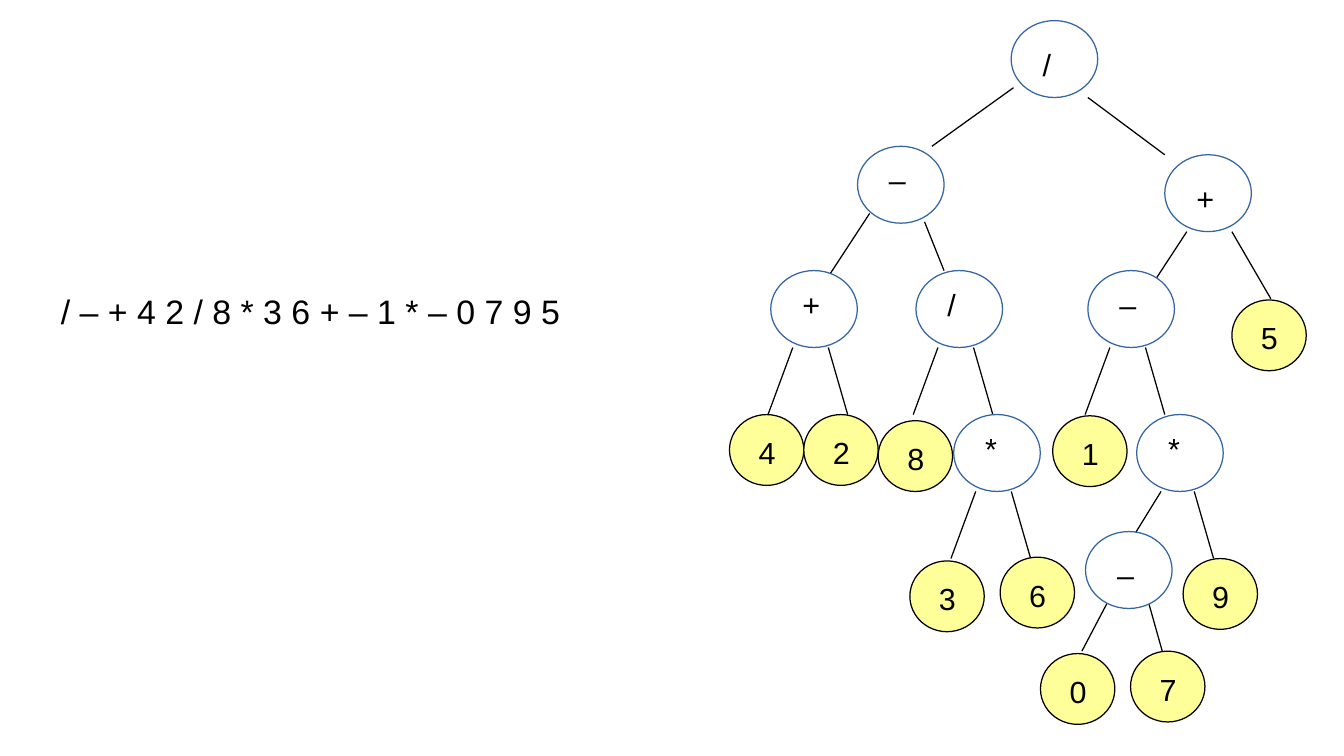
from lxml import etree
from pptx import Presentation
from pptx.dml.color import RGBColor
from pptx.enum.shapes import MSO_CONNECTOR, MSO_SHAPE
from pptx.oxml.ns import qn
from pptx.util import Pt

ELLIPSE = MSO_SHAPE.OVAL
STRAIGHT = MSO_CONNECTOR.STRAIGHT

PREFIX_EXPRESSION = "/ – + 4 2 / 8 * 3 6 + – 1 * – 0 7 9 5"
EXPRESSION_BOX = (28.8, 168.3, 400, 32)

LEFT_BRANCH = (13, 45.4, -14.6, 39.6)
RIGHT_BRANCH = (34, 45.4, 11.4, 39.6)

# symbol, left, top, label drop, branches as (start dx, start dy, run, fall)
OPERATORS = [
    ("/", 596.9, 12.2, 11.5, (1.4, 39.6, -48.2, 34.6), (45.3, 45.4, 45.4, 33.8)),
    ("–", 506.2, 86.4, 5, (7.2, 39.6, -25.9, 39.6), (39.6, 44.6, 11.5, 28.8)),
    ("+", 687.6, 91.4, 11.5, (13, 45.4, -25.9, 39.6), (39.6, 45.4, 23, 39.6)),
    ("+", 455, 159.8, 5.8, LEFT_BRANCH, RIGHT_BRANCH),
    ("/", 540.7, 159.8, 5.8, LEFT_BRANCH, RIGHT_BRANCH),
    ("–", 642.2, 159.8, 5.8, LEFT_BRANCH, RIGHT_BRANCH),
    ("*", 563, 244.8, 5.8, LEFT_BRANCH, RIGHT_BRANCH),
    ("*", 671, 244.8, 5.8, (14.4, 45.4, -15.1, 24.5), RIGHT_BRANCH),
    ("–", 640.8, 313.9, 10.8, (13, 41.8, -15.1, 28.8), (37.4, 42.5, 7.9, 28.1)),
]
OPERANDS = [
    ("4", 430.6, 244.8), ("2", 474.5, 244.8), ("8", 518.4, 248.4),
    ("3", 537.1, 331.2), ("6", 590.4, 329), ("1", 621.4, 245.5),
    ("5", 727.2, 177.1), ("9", 698.4, 329.8), ("0", 614.2, 385.9),
    ("7", 667.4, 384.5),
]

OPERATOR_SIZE = (51.1, 45.4)
OPERAND_SIZE = (43.9, 41.8)
OPERATOR_LABEL = (11.5, 39.6, 27.4)
OPERAND_LABEL = (10.1, 8.4, 27.4, 27.4)

THEME = {
    "font": "Arial",
    "ink": RGBColor(0x00, 0x00, 0x00),
    "operator_fill": RGBColor(0xFF, 0xFF, 0xFF),
    "operator_line": RGBColor(0x34, 0x65, 0xA4),
    "operand_fill": RGBColor(0xFF, 0xFF, 0x99),
    "line_width": 0.75,
    "expression_size": 20,
    "label_size": 18,
}


def apply_format(target, values):
    for attribute, value in values.items():
        setattr(target, attribute, value)


def add_text(slide, box, text, size, inset_top=3.6, line_spacing=1.0):
    frame = slide.shapes.add_textbox(*map(Pt, box)).text_frame
    apply_format(frame, {
        "word_wrap": True,
        "margin_left": Pt(7.2),
        "margin_right": Pt(7.2),
        "margin_top": Pt(inset_top),
        "margin_bottom": Pt(3.6),
    })
    paragraph = frame.paragraphs[0]
    paragraph.line_spacing = line_spacing
    run = paragraph.add_run()
    run.text = text
    apply_format(run.font, {"name": THEME["font"], "size": Pt(size)})
    run.font.color.rgb = THEME["ink"]


def add_node(slide, left, top, size, fill, line):
    node = slide.shapes.add_shape(ELLIPSE, *map(Pt, (left, top, *size)))
    node.shadow.inherit = False
    node.fill.solid()
    node.fill.fore_color.rgb = fill
    node.line.color.rgb = line
    node.line.width = Pt(THEME["line_width"])


def add_branch(slide, left, top, branch):
    dx, dy, run, fall = branch
    x, y = left + dx, top + dy
    edge = slide.shapes.add_connector(
        STRAIGHT, *map(Pt, (x, y, x + run, y + fall)))
    edge.line.color.rgb = THEME["ink"]
    edge.line.width = Pt(THEME["line_width"])
    etree.SubElement(edge._element.spPr, qn("a:effectLst"))


def main():
    presentation = Presentation()
    apply_format(presentation, {"slide_width": Pt(793.4), "slide_height": Pt(446.4)})
    slide = presentation.slides.add_slide(presentation.slide_layouts[6])

    add_text(slide, EXPRESSION_BOX, PREFIX_EXPRESSION, THEME["expression_size"])

    for symbol, left, top, drop, *branches in OPERATORS:
        for branch in branches:
            add_branch(slide, left, top, branch)

    label_dx, label_width, label_height = OPERATOR_LABEL
    for symbol, left, top, drop, *branches in OPERATORS:
        add_node(slide, left, top, OPERATOR_SIZE,
                 THEME["operator_fill"], THEME["operator_line"])
        add_text(slide, (left + label_dx, top + drop, label_width, label_height),
                 symbol, THEME["label_size"])

    label_dx, label_dy, label_width, label_height = OPERAND_LABEL
    for digit, left, top in OPERANDS:
        add_node(slide, left, top, OPERAND_SIZE, THEME["operand_fill"], THEME["ink"])
        add_text(slide, (left + label_dx, top + label_dy, label_width, label_height),
                 digit, THEME["label_size"], inset_top=5, line_spacing=0.93)

    presentation.save("out.pptx")


if __name__ == "__main__":
    main()
